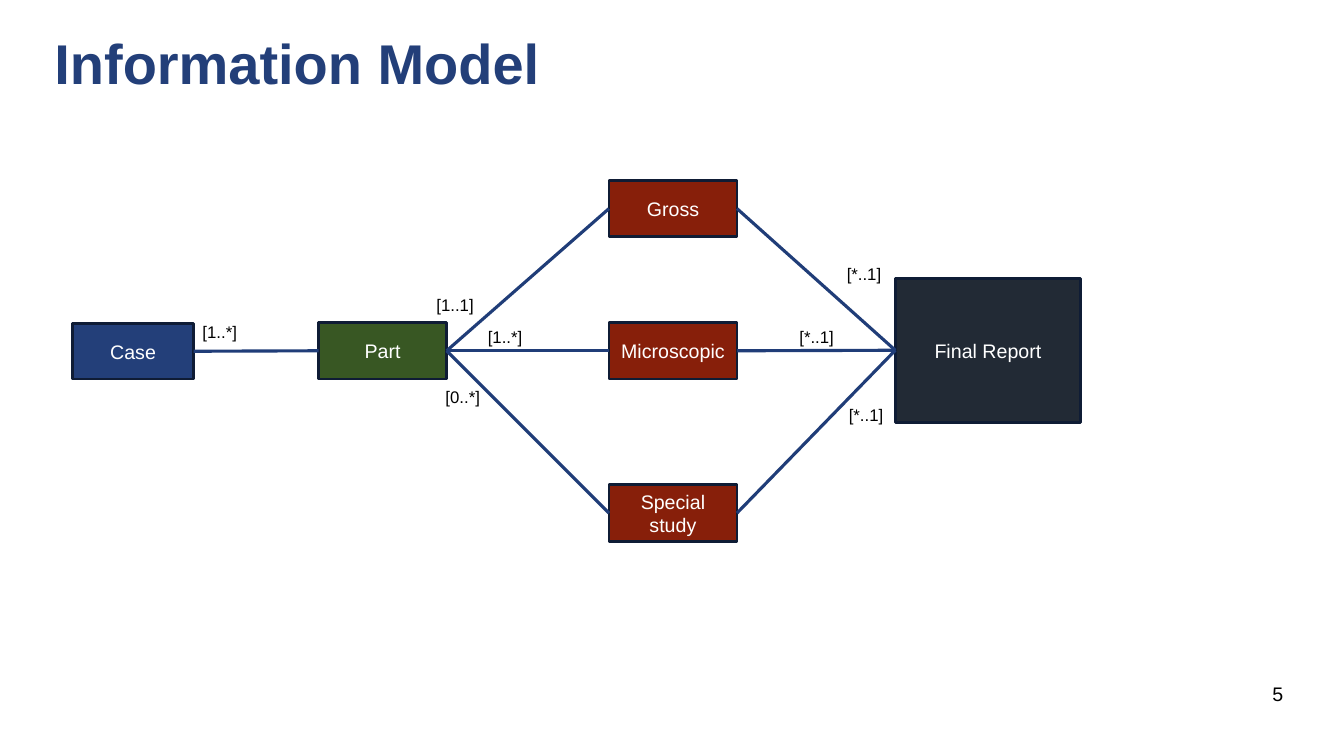
import pptx
import pptx.util
import pptx.dml.color
import pptx.enum.shapes
import pptx.enum.text
import pptx.oxml.ns
from lxml import etree
from pptx.util import Inches

FONT = "Arial"
COLOURS = {
    "title": "233F79",
    "case": "233F79",
    "part": "385723",
    "study": "871F0A",
    "report": "222A35",
    "outline": "0F1C35",
    "link": "203D78",
    "light": "FFFFFF",
    "dark": "000000",
}
LEFT, RIGHT = 1, 3  # connection sites of a rectangle
BOX_WIDTH, BOX_HEIGHT = 1.27, 0.56
STUDY_LEFT = 6.04

# name: (left, top, width, height, colour)
BOXES = {
    "Case": (0.72, 3.21, 1.2, 0.55, "case"),
    "Part": (3.16, 3.2, BOX_WIDTH, BOX_HEIGHT, "part"),
    "Gross": (STUDY_LEFT, 1.79, BOX_WIDTH, BOX_HEIGHT, "study"),
    "Microscopic": (STUDY_LEFT, 3.2, BOX_WIDTH, BOX_HEIGHT, "study"),
    "Special study": (STUDY_LEFT, 4.81, BOX_WIDTH, BOX_HEIGHT, "study"),
    "Final Report": (8.88, 2.76, 1.84, 1.43, "report"),
}
STUDIES = ("Gross", "Microscopic", "Special study")
LINKS = (
    [("Case", "Part")]
    + [("Part", study) for study in STUDIES]
    + [(study, "Final Report") for study in STUDIES]
)
# (text, left, top)
MULTIPLICITIES = [
    ("[1..*]", 1.91, 3.14),
    ("[1..1]", 4.23, 2.87),
    ("[1..*]", 4.74, 3.19),
    ("[0..*]", 4.32, 3.79),
    ("[*..1]", 8.3, 2.57),
    ("[*..1]", 7.83, 3.19),
    ("[*..1]", 8.32, 3.97),
]


def colour(name):
    return pptx.dml.color.RGBColor.from_string(COLOURS[name])


def write_text(shape, text, size, colour_name, align="LEFT", anchor="TOP", bold=False):
    frame = shape.text_frame
    frame.word_wrap = True
    frame.vertical_anchor = getattr(pptx.enum.text.MSO_ANCHOR, anchor)
    paragraph = frame.paragraphs[0]
    paragraph.alignment = getattr(pptx.enum.text.PP_ALIGN, align)
    run = paragraph.add_run()
    run.text = text
    run.font.name = FONT
    run.font.size = pptx.util.Pt(size)
    run.font.bold = bold
    run.font.color.rgb = colour(colour_name)


def add_title(slide, text):
    title = slide.shapes.title
    title.left, title.top = Inches(0.44), Inches(0.28)
    title.width, title.height = Inches(7.97), Inches(0.67)
    frame = title.text_frame
    frame.auto_size = pptx.enum.text.MSO_AUTO_SIZE.NONE
    frame.margin_top = frame.margin_bottom = 0
    write_text(title, text, 40, "title", bold=True)


def add_box(slide, text, left, top, width, height, fill):
    box = slide.shapes.add_shape(
        pptx.enum.shapes.MSO_SHAPE.RECTANGLE,
        Inches(left), Inches(top), Inches(width), Inches(height),
    )
    box.shadow.inherit = False
    box.fill.solid()
    box.fill.fore_color.rgb = colour(fill)
    box.line.color.rgb = colour("outline")
    box.line.width = pptx.util.Pt(2)
    write_text(box, text, 14, "light", "CENTER", "MIDDLE")
    return box


def add_link(slide, start, end):
    link = slide.shapes.add_connector(
        pptx.enum.shapes.MSO_CONNECTOR.STRAIGHT, 0, 0, 0, 0
    )
    link.begin_connect(start, RIGHT)
    link.end_connect(end, LEFT)
    link.line.color.rgb = colour("link")
    link.line.width = pptx.util.Pt(2.25)
    etree.SubElement(link._element.spPr, pptx.oxml.ns.qn("a:effectLst"))


def add_label(slide, text, left, top, width=0.59, height=0.3, size=12, **layout):
    label = slide.shapes.add_textbox(
        Inches(left), Inches(top), Inches(width), Inches(height)
    )
    write_text(label, text, size, "dark", **layout)


def main():
    presentation = pptx.Presentation()
    presentation.slide_width = Inches(13.33)
    presentation.slide_height = Inches(7.5)
    slide = presentation.slides.add_slide(presentation.slide_layouts[5])

    # Title and page number
    add_title(slide, "Information Model")
    add_label(slide, "5", 12.36, 6.65, 0.63, 0.46, 14, align="CENTER", anchor="MIDDLE")

    # Entities, their links and multiplicities
    boxes = {name: add_box(slide, name, *place) for name, place in BOXES.items()}
    for start, end in LINKS:
        add_link(slide, boxes[start], boxes[end])
    for text, left, top in MULTIPLICITIES:
        add_label(slide, text, left, top)

    presentation.save("out.pptx")


if __name__ == "__main__":
    main()
